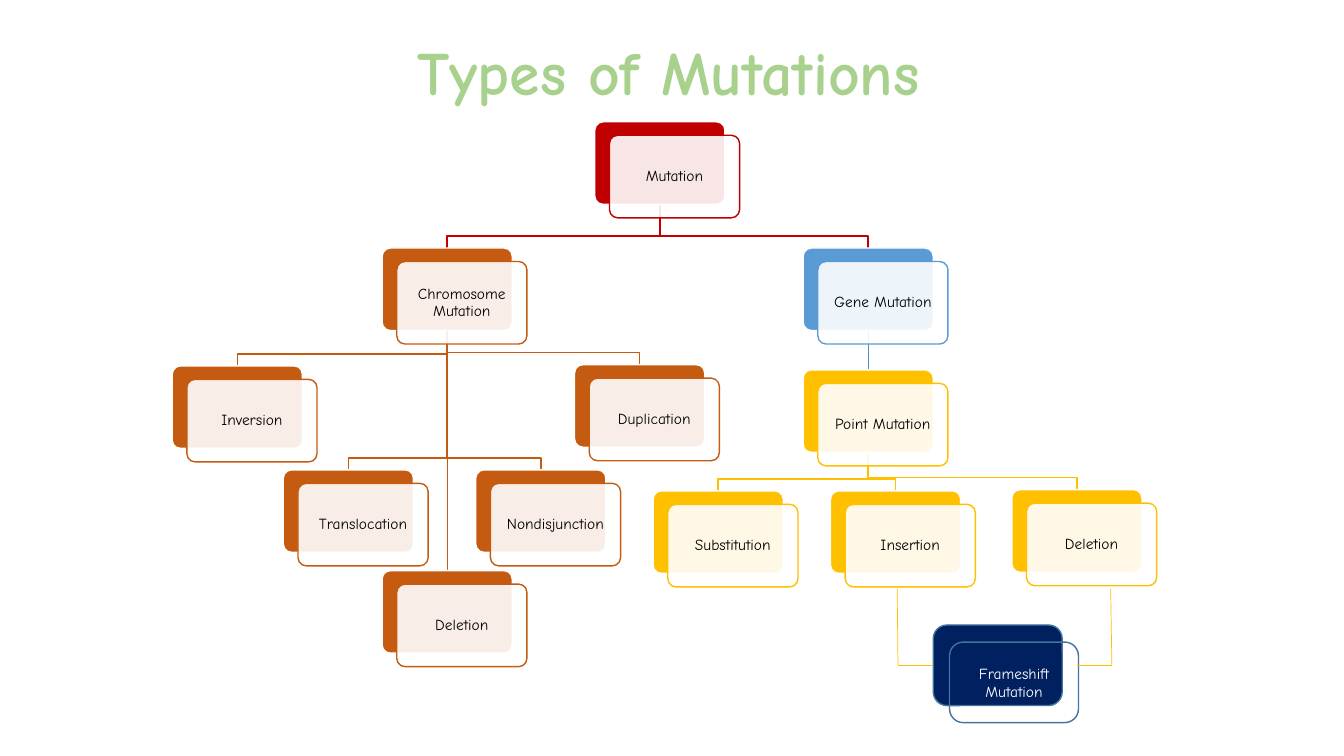
from dataclasses import dataclass

from lxml import etree
from pptx import Presentation
from pptx.dml.color import RGBColor
from pptx.enum.shapes import MSO_CONNECTOR, MSO_SHAPE
from pptx.enum.text import MSO_ANCHOR, PP_ALIGN
from pptx.oxml.ns import qn
from pptx.util import Cm, Pt

ROUNDED = MSO_SHAPE.ROUNDED_RECTANGLE
STRAIGHT = MSO_CONNECTOR.STRAIGHT
MIDDLE = MSO_ANCHOR.MIDDLE
CENTER = PP_ALIGN.CENTER


@dataclass(frozen=True)
class Theme:
    font: str = "Comic Neue"
    title_size: float = 44
    label_size: float = 11
    line_width: float = 1
    thin_width: float = 0.5
    title: str = "A9D18E"
    text: str = "000000"
    paper: str = "FFFFFF"
    root: str = "C00000"
    chromosome: str = "C55A11"
    gene: str = "5B9BD5"
    gene_link: str = "538DC1"
    point: str = "FFC000"
    frameshift: str = "002060"
    frameshift_line: str = "43739E"


THEME = Theme()
CARD_WIDTH, CARD_HEIGHT = 3.28, 2.08
ELBOW_RISE = 0.3

CARDS = {
    "mutation": ("Mutation", 14.99, 3.07, THEME.root),
    "chromosome": ("Chromosome Mutation", 9.63, 6.25, THEME.chromosome),
    "chromosome deletion": ("Deletion", 9.63, 14.38, THEME.chromosome),
    "inversion": ("Inversion", 4.34, 9.22, THEME.chromosome),
    "translocation": ("Translocation", 7.14, 11.84, THEME.chromosome),
    "nondisjunction": ("Nondisjunction", 11.99, 11.84, THEME.chromosome),
    "duplication": ("Duplication", 14.48, 9.19, THEME.chromosome),
    "gene": ("Gene Mutation", 20.24, 6.25, THEME.gene),
    "point": ("Point Mutation", 20.24, 9.32, THEME.point),
    "substitution": ("Substitution", 16.46, 12.37, THEME.point),
    "point deletion": ("Deletion", 25.5, 12.34, THEME.point),
    "insertion": ("Insertion", 20.93, 12.37, THEME.point),
}
BRANCHES = [
    ("point", THEME.point, ["insertion", "point deletion", "substitution"]),
    ("gene", THEME.gene_link, ["point"]),
    ("chromosome", THEME.chromosome,
     ["duplication", "nondisjunction", "translocation", "inversion", "chromosome deletion"]),
    ("mutation", THEME.root, ["chromosome", "gene"]),
]


def write(frame, text, *, font, size, color, bold=False, spacing=None):
    frame.word_wrap = True
    frame.vertical_anchor = MIDDLE
    para = frame.paragraphs[0]
    para.alignment = CENTER
    para.line_spacing = spacing
    span = para.add_run()
    span.text = text
    span.font.name = font
    span.font.size = Pt(size)
    span.font.bold = bold
    span.font.color.rgb = RGBColor.from_string(color)


class SlideMaker:
    def __init__(self, page, theme):
        self.page = page
        self.theme = theme

    def title(self, text, left, top, width, height):
        box = self.page.shapes.title
        box.left, box.top, box.width, box.height = map(Cm, (left, top, width, height))
        write(box.text_frame, text, font=self.theme.font, size=self.theme.title_size,
              color=self.theme.title, bold=True, spacing=0.9)

    def stroke(self, shape, color, width):
        shape.line.color.rgb = RGBColor.from_string(color)
        shape.line.width = Pt(width)

    def line(self, start, end, color, width):
        connector = self.page.shapes.add_connector(STRAIGHT, *map(Cm, (*start, *end)))
        self.stroke(connector, color, width)
        etree.SubElement(connector._element.spPr, qn("a:effectLst"))

    def link(self, start, end, color):
        if start[0] == end[0]:
            self.line(start, end, color, self.theme.line_width)
            return
        bend = end[1] - ELBOW_RISE
        builder = self.page.shapes.build_freeform(Cm(start[0]), Cm(start[1]))
        corners = [(start[0], bend), (end[0], bend), end]
        builder.add_line_segments([(Cm(x), Cm(y)) for x, y in corners], close=False)
        elbow = builder.convert_to_shape()
        elbow.shadow.inherit = False
        elbow.fill.background()
        self.stroke(elbow, color, self.theme.line_width)

    def panel(self, left, top, width, height, line, rounding, fill=None, opacity=100):
        box = self.page.shapes.add_shape(ROUNDED, *map(Cm, (left, top, width, height)))
        box.shadow.inherit = False
        box.adjustments[0] = rounding
        self.stroke(box, line, self.theme.line_width)
        if fill is None:
            box.fill.background()
            return box
        box.fill.solid()
        box.fill.fore_color.rgb = RGBColor.from_string(fill)
        if opacity < 100:
            color = box._element.spPr.find(qn("a:solidFill"))[0]
            etree.SubElement(color, qn("a:alpha"), val=str(opacity * 1000))
        return box

    def card(self, text, left, top, color):
        theme = self.theme
        size = (CARD_WIDTH, CARD_HEIGHT)
        self.panel(left, top, *size, theme.paper, 0.1, color)
        front = self.panel(left + 0.37, top + 0.34, *size, color, 0.1, theme.paper, 90)
        frame = front.text_frame
        frame.margin_left = frame.margin_right = Cm(0.13)
        frame.margin_top = frame.margin_bottom = Cm(0.13)
        write(frame, text, font=theme.font, size=theme.label_size,
              color=theme.text, spacing=0.9)

    def dark_card(self, text, left, top, width, height):
        theme = self.theme
        self.panel(left, top, width, height, theme.frameshift_line, 0.17, theme.frameshift)
        front = self.panel(left + 0.41, top + 0.43, width, height, theme.frameshift_line, 0.17)
        write(front.text_frame, text, font=theme.font, size=theme.label_size, color=theme.paper)


def main():
    deck = Presentation()
    deck.slide_width, deck.slide_height = Cm(33.87), Cm(19.05)
    page = deck.slides.add_slide(deck.slide_layouts[5])
    maker = SlideMaker(page, THEME)
    maker.title("Types of Mutations", 8.81, 0.48, 16.08, 2.87)

    for parent, color, children in BRANCHES:
        _, left, top, _ = CARDS[parent]
        start = (left + CARD_WIDTH / 2, top + CARD_HEIGHT)
        for child in children:
            _, left, top, _ = CARDS[child]
            maker.link(start, (left + CARD_WIDTH / 2, top), color)

    for card in CARDS.values():
        maker.card(*card)

    maker.dark_card("Frameshift Mutation", 23.52, 15.75, 3.25, 2.03)
    for upper, lower, side in [(22.61, 22.63, 23.52), (27.99, 28.02, 27.15)]:
        maker.line((upper, 14.83), (lower, 16.76), THEME.point, THEME.thin_width)
        maker.line((lower, 16.76), (side, 16.76), THEME.point, THEME.thin_width)

    deck.save("out.pptx")


if __name__ == "__main__":
    main()
